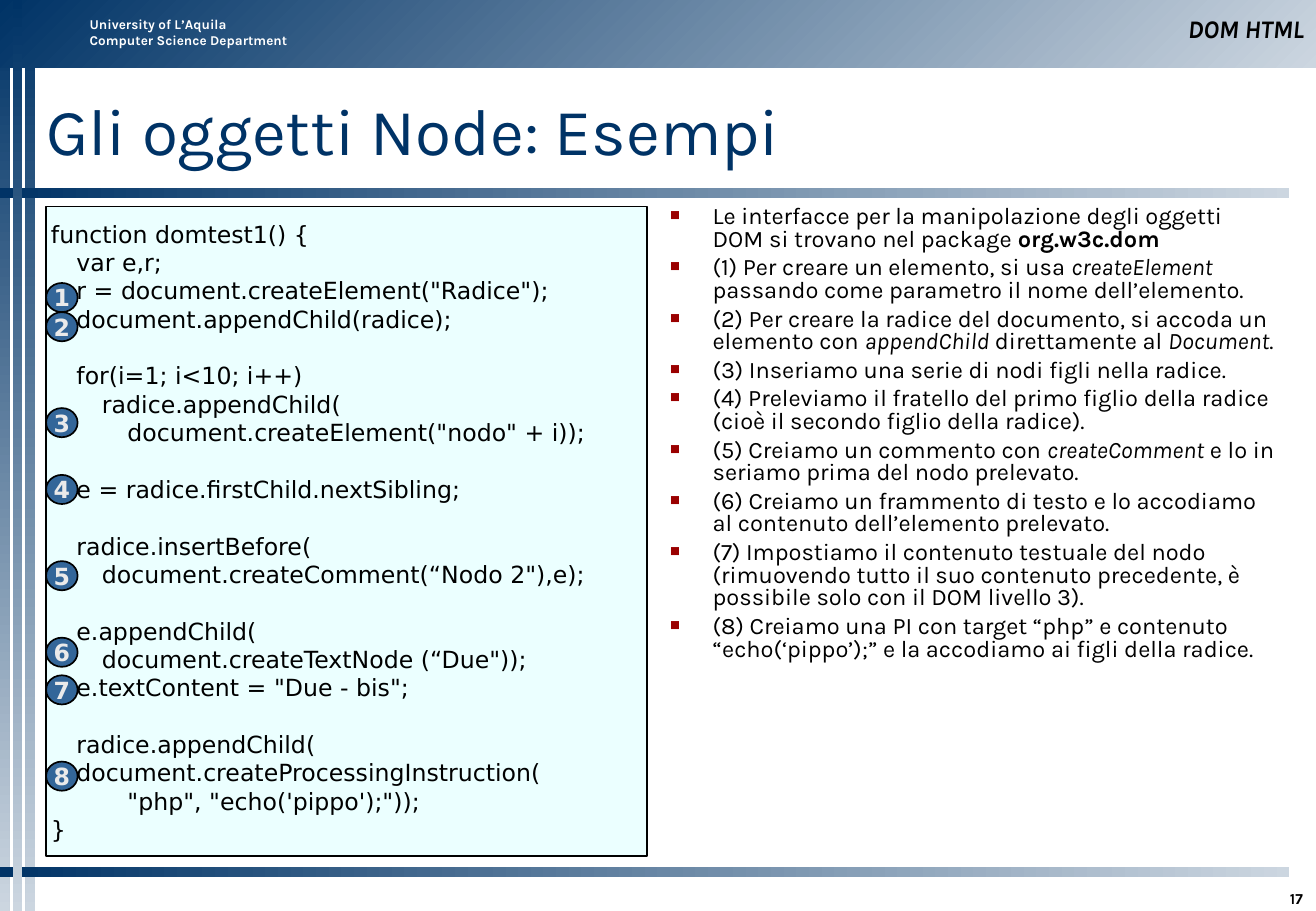
from lxml import etree
from pptx import Presentation
from pptx.dml.color import RGBColor
from pptx.enum.shapes import MSO_SHAPE
from pptx.enum.text import MSO_ANCHOR, MSO_AUTO_SIZE, PP_ALIGN
from pptx.oxml.ns import qn
from pptx.util import Inches, Pt

RECT, OVAL = MSO_SHAPE.RECTANGLE, MSO_SHAPE.OVAL
LEFT, CENTER, RIGHT = PP_ALIGN.LEFT, PP_ALIGN.CENTER, PP_ALIGN.RIGHT
TOP, MIDDLE, BOTTOM = MSO_ANCHOR.TOP, MSO_ANCHOR.MIDDLE, MSO_ANCHOR.BOTTOM

COLORS = {
    "navy": "003366", "mist": "CCD6E0", "white": "FFFFFF", "black": "000000",
    "bullet": "9A0000", "code": "EBFFFF", "badge": "336699", "digit": "EAEAEA",
}
TITLE = "Gli oggetti Node: Esempi"
DEPARTMENT = "University of L’Aquila\nComputer Science Department"
COURSE = "DOM HTML"
PAGE = "17"
CODE_BLOCKS = [
    ["function domtest1() {",
     "\tvar e,r;",
     "\tr = document.createElement(\"Radice\");",
     "\tdocument.appendChild(radice);"],
    ["\tfor(i=1; i<10; i++)",
     "\t\tradice.appendChild(",
     "\t\t\tdocument.createElement(\"nodo\" + i));"],
    ["\te = radice.firstChild.nextSibling;"],
    ["\tradice.insertBefore(",
     "\t\tdocument.createComment(“Nodo 2\"),e);"],
    ["\te.appendChild(",
     "\t\tdocument.createTextNode (“Due\"));",
     "\te.textContent = \"Due - bis\";"],
    ["\tradice.appendChild(",
     "\tdocument.createProcessingInstruction(",
     "\t\t\t\"php\", \"echo('pippo');\"));",
     "}"],
]
NOTES = [
    [("Le interfacce per la manipolazione degli oggetti DOM si trovano nel package ", ""),
     ("org.w3c.dom", "b")],
    [("(1) Per creare un elemento, si usa ", ""), ("createElement", "i"),
     (" passando come parametro il nome dell’elemento.", "")],
    [("(2) Per creare la radice del documento, si accoda un elemento con ", ""),
     ("appendChild", "i"), (" direttamente al ", ""), ("Document", "i"), (".", "")],
    [("(3) Inseriamo una serie di nodi figli nella radice.", "")],
    [("(4) Preleviamo il fratello del primo figlio della radice "
      "(cioè il secondo figlio della radice).", "")],
    [("(5) Creiamo un commento con ", ""), ("createComment", "i"),
     (" e lo in seriamo prima del nodo prelevato.", "")],
    [("(6) Creiamo un frammento di testo e lo accodiamo "
      "al contenuto dell’elemento prelevato.", "")],
    [("(7) Impostiamo il contenuto testuale del nodo (rimuovendo tutto il suo "
      "contenuto precedente, è possibile solo con il DOM livello 3).", "")],
    [("(8) Creiamo una PI con target “php” e contenuto “echo(‘pippo’);” "
      "e la accodiamo ai figli della radice.", "")],
]
BADGE_TOPS = [2.33, 2.57, 3.36, 3.91, 4.62, 5.25, 5.56, 6.27]
BAR = 0.08
BAR_STEP = 0.105
CODE_LEFT, BODY_TOP, BODY_HEIGHT = 0.38, 1.7, 5.35
TAB_STEP = 0.21
CODE_LINE = 16.8


def rgb(name):
    return RGBColor.from_string(COLORS[name])


def place(sp, left, top, width, height):
    sp.left, sp.top = Inches(left), Inches(top)
    sp.width, sp.height = Inches(width), Inches(height)


def frame(sp, insets=(0, 0, 0, 0), anchor=TOP, wrap=True):
    tf = sp.text_frame
    tf.auto_size = MSO_AUTO_SIZE.NONE
    tf.word_wrap, tf.vertical_anchor = wrap, anchor
    tf.margin_left, tf.margin_top, tf.margin_right, tf.margin_bottom = map(Inches, insets)
    return tf


def write(p, text, size=14, color="black", font="Karla", style="", align=LEFT, before=0):
    p.alignment = align
    p.space_before = Pt(before)
    for i, line in enumerate(text.split("\n")):
        if i:
            p.add_line_break()
        r = p.add_run()
        r.text = line
        r.font.name, r.font.size = font, Pt(size)
        r.font.color.rgb = rgb(color)
        r.font.bold, r.font.italic = "b" in style, "i" in style


def add_shape(s, kind, box, fill, outline=None):
    sp = s.shapes.add_shape(kind, *map(Inches, box))
    sp.shadow.inherit = False
    sp.fill.solid()
    sp.fill.fore_color.rgb = rgb(fill)
    if outline:
        sp.line.color.rgb = rgb(outline)
        sp.line.width = Pt(1)
    else:
        sp.line.fill.background()
    return sp


def add_band(s, box, angle):
    fill = add_shape(s, RECT, box, "navy").fill
    fill.gradient()
    fill.gradient_angle = angle
    for stop, name, position in zip(fill.gradient_stops, ("navy", "mist"), (0, 1)):
        stop.color.rgb = rgb(name)
        stop.position = position


def add_label(s, box, text, insets, anchor=TOP, wrap=True, **style):
    sp = s.shapes.add_textbox(*map(Inches, box))
    write(frame(sp, insets, anchor, wrap).paragraphs[0], text, **style)


def add_bullet(p):
    pPr = p._p.get_or_add_pPr()
    pPr.set("marL", str(Inches(0.35)))
    pPr.set("indent", str(-Inches(0.35)))
    color = etree.SubElement(pPr, qn("a:buClr"))
    etree.SubElement(color, qn("a:srgbClr"), val=COLORS["bullet"])
    etree.SubElement(pPr, qn("a:buSzPct"), val="70000")
    etree.SubElement(pPr, qn("a:buChar"), char="■")


def add_tabs(p):
    tabs = etree.SubElement(p._p.get_or_add_pPr(), qn("a:tabLst"))
    for level in range(1, 4):
        etree.SubElement(tabs, qn("a:tab"), pos=str(Inches(level * TAB_STEP)), algn="l")


def paragraph(tf, first):
    return tf.paragraphs[0] if first else tf.add_paragraph()


def main():
    prs = Presentation()
    prs.slide_width, prs.slide_height = Inches(10.84), Inches(7.5)
    s = prs.slides.add_slide(prs.slide_layouts[1])
    title, body = s.placeholders

    for column in (0, 2):
        add_band(s, (column * BAR_STEP, 0, BAR, 7.5), 270)
    add_band(s, (0, 0, 10.84, 0.56), 315)
    for top in (1.55, 7.14):
        add_band(s, (0, top, 10.62, BAR), 0)
    add_band(s, (BAR_STEP, 0, BAR, 7.5), 270)

    add_label(s, (0.64, 0.08, 2.01, 0.37), DEPARTMENT, (0.1, 0.05, 0.1, 0.05),
              size=8, color="white", style="b", before=5)
    add_label(s, (5.6, 0.08, 5.24, 0.33), COURSE, (0.1, 0.05, 0.1, 0.05), BOTTOM,
              size=15, style="bi", align=RIGHT)
    add_label(s, (9.65, 7.22, 1.18, 0.25), PAGE, (0.1, 0.05, 0.1, 0), BOTTOM,
              size=9, style="b", align=RIGHT)

    place(title, CODE_LEFT, 0.58, 10.27, 0.96)
    write(frame(title, anchor=MIDDLE).paragraphs[0], TITLE, size=39, color="navy")

    place(body, 5.42, BODY_TOP, 5.21, BODY_HEIGHT)
    tf = frame(body, (0.1, 0, 0.1, 0))
    for i, note in enumerate(NOTES):
        p = paragraph(tf, i == 0)
        p.line_spacing = 0.8
        for text, style in note:
            write(p, text, style=style, before=3.5)
        add_bullet(p)

    code = add_shape(s, RECT, (CODE_LEFT, BODY_TOP, 4.95, BODY_HEIGHT), "code", "black")
    tf = frame(code, (0.04,) * 4, MIDDLE)
    for i, block in enumerate(CODE_BLOCKS):
        for j, line in enumerate(block):
            p = paragraph(tf, i == j == 0)
            write(p, line, font="DejaVu Sans", before=CODE_LINE if i and j == 0 else 0)
            add_tabs(p)

    for number, top in enumerate(BADGE_TOPS, 1):
        badge = add_shape(s, OVAL, (CODE_LEFT, top, 0.26, 0.24), "badge", "black")
        write(frame(badge, anchor=MIDDLE, wrap=False).paragraphs[0], str(number),
              color="digit", font="DejaVu Sans", style="b", align=CENTER)

    prs.save("out.pptx")


if __name__ == "__main__":
    main()
